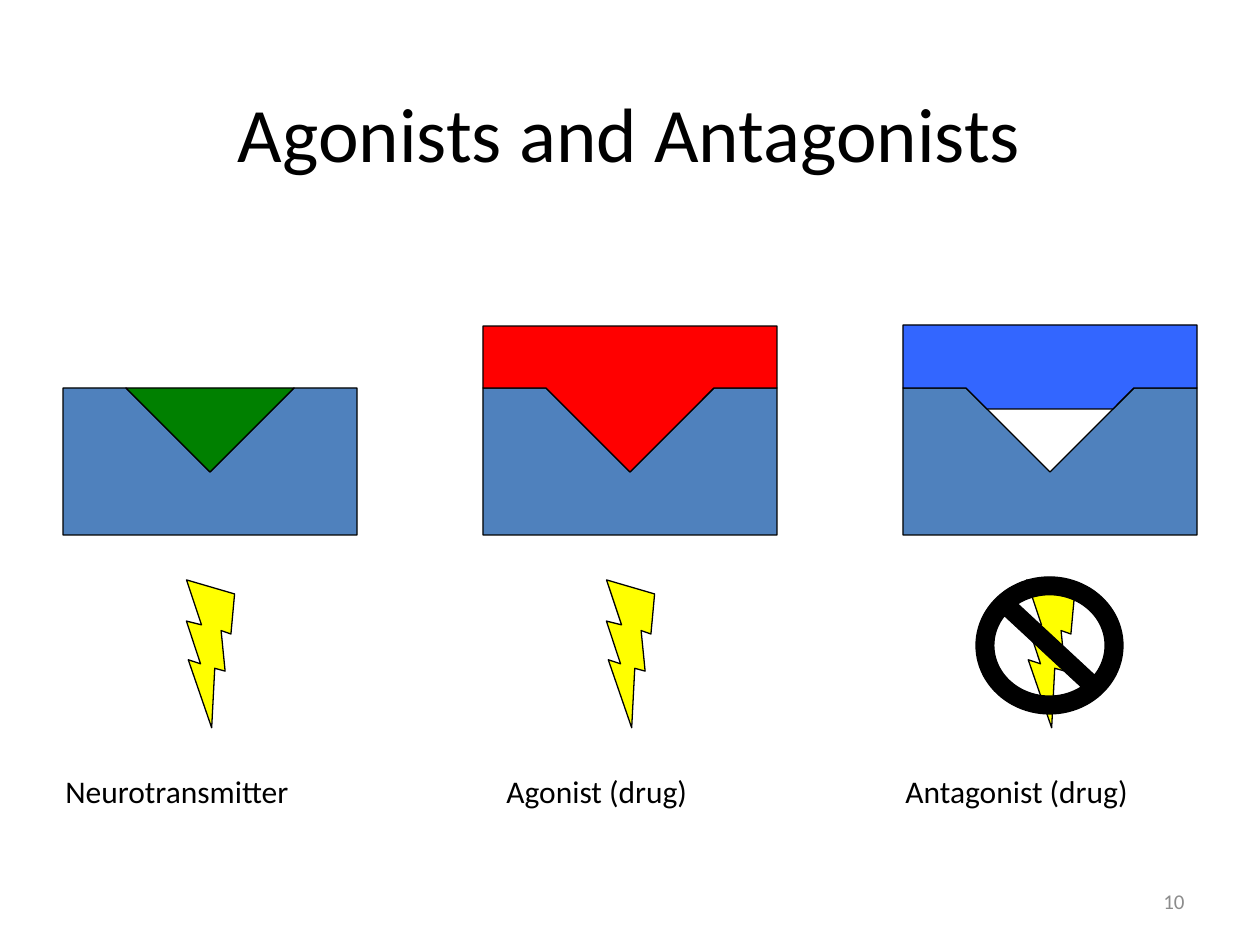
import pptx
import pptx.dml.color
import pptx.enum.shapes
import pptx.enum.text
import pptx.util

RGB = pptx.dml.color.RGBColor
SHAPE = pptx.enum.shapes.MSO_SHAPE
ALIGN = pptx.enum.text.PP_ALIGN
ANCHOR = pptx.enum.text.MSO_ANCHOR
PX = 914400 // 126

BLACK = RGB(0, 0, 0)
GREY = RGB(0x8C, 0x8C, 0x8C)
STEEL = RGB(0x4F, 0x81, 0xBD)
GREEN = RGB(0, 0x80, 0)
RED = RGB(0xFF, 0, 0)
BLUE = RGB(0x33, 0x66, 0xFF)
YELLOW = RGB(0xFF, 0xFF, 0)

# Outlines, relative to the top left corner of each receptor
RECEPTOR = [(0, 147), (0, 0), (63, 0), (147, 84), (231, 0), (294, 0), (294, 147)]
WEDGE = [(63, 0), (147, 84), (231, 0)]
FULL_PLUG = [(0, 0), (63, 0), (147, 84), (231, 0), (294, 0), (294, -62), (0, -62)]
SHORT_PLUG = [(0, 0), (0, -63), (294, -63), (294, 0), (231, 0), (210, 21),
              (84, 21), (63, 0)]

# Label, label left and width, ligand outline, ligand colour, signal blocked
CASES = [
    ("Neurotransmitter", 53, 312, WEDGE, GREEN, False),
    ("Agonist (drug)", 494, 273, FULL_PLUG, RED, False),
    ("Antagonist (drug)", 893, 325, SHORT_PLUG, BLUE, True),
]
FIRST_LEFT, STEP, RECEPTOR_TOP = 63, 420, 388

# Text, box, size, colour, alignment, anchor
TEXTS = [
    ("Agonists and Antagonists", (94, 53, 1071, 157), 44, BLACK, ALIGN.CENTER, ANCHOR.MIDDLE),
    ("10", (903, 876, 294, 50), 12, GREY, ALIGN.RIGHT, ANCHOR.MIDDLE),
] + [(label, (left, 766, width, 63), 18, BLACK, ALIGN.LEFT, ANCHOR.TOP)
     for label, left, width, *_ in CASES]

deck = pptx.Presentation()
deck.slide_width, deck.slide_height = 1260 * PX, 945 * PX
slide = deck.slides.add_slide(deck.slide_layouts[6])


def paint(shape, color):
    shape.shadow.inherit = False
    shape.fill.solid()
    shape.fill.fore_color.rgb = color
    shape.line.color.rgb = BLACK
    shape.line.width = pptx.util.Pt(0.75)


def add_outline(points, left, color):
    start, *rest = [(left + x, RECEPTOR_TOP + y) for x, y in points]
    builder = slide.shapes.build_freeform(*start, scale=PX)
    builder.add_line_segments(rest, close=True)
    paint(builder.convert_to_shape(), color)


def add_preset(kind, box, color):
    shape = slide.shapes.add_shape(kind, *(v * PX for v in box))
    paint(shape, color)
    return shape


def add_text(text, box, size, color, align, anchor):
    frame = slide.shapes.add_textbox(*(v * PX for v in box)).text_frame
    frame.word_wrap = True
    frame.vertical_anchor = anchor
    paragraph = frame.paragraphs[0]
    paragraph.alignment = align
    run = paragraph.add_run()
    run.text = text
    for name, value in {"name": "Calibri", "size": pptx.util.Pt(size)}.items():
        setattr(run.font, name, value)
    run.font.color.rgb = color


# Receptor, ligand and signal of each case
for i, (_, _, _, ligand, ligand_color, blocked) in enumerate(CASES):
    left = FIRST_LEFT + i * STEP
    add_outline(RECEPTOR, left, STEEL)
    add_outline(ligand, left, ligand_color)
    bolt = add_preset(SHAPE.LIGHTNING_BOLT, (left + 85, 588, 116, 116), YELLOW)
    bolt.rotation = 41
    if blocked:
        ban = add_preset(SHAPE.NO_SYMBOL, (left + 73, 577, 147, 137), BLACK)
        ban.adjustments[0] = 0.13

# Title, page number and labels
for item in TEXTS:
    add_text(*item)

deck.save("out.pptx")
